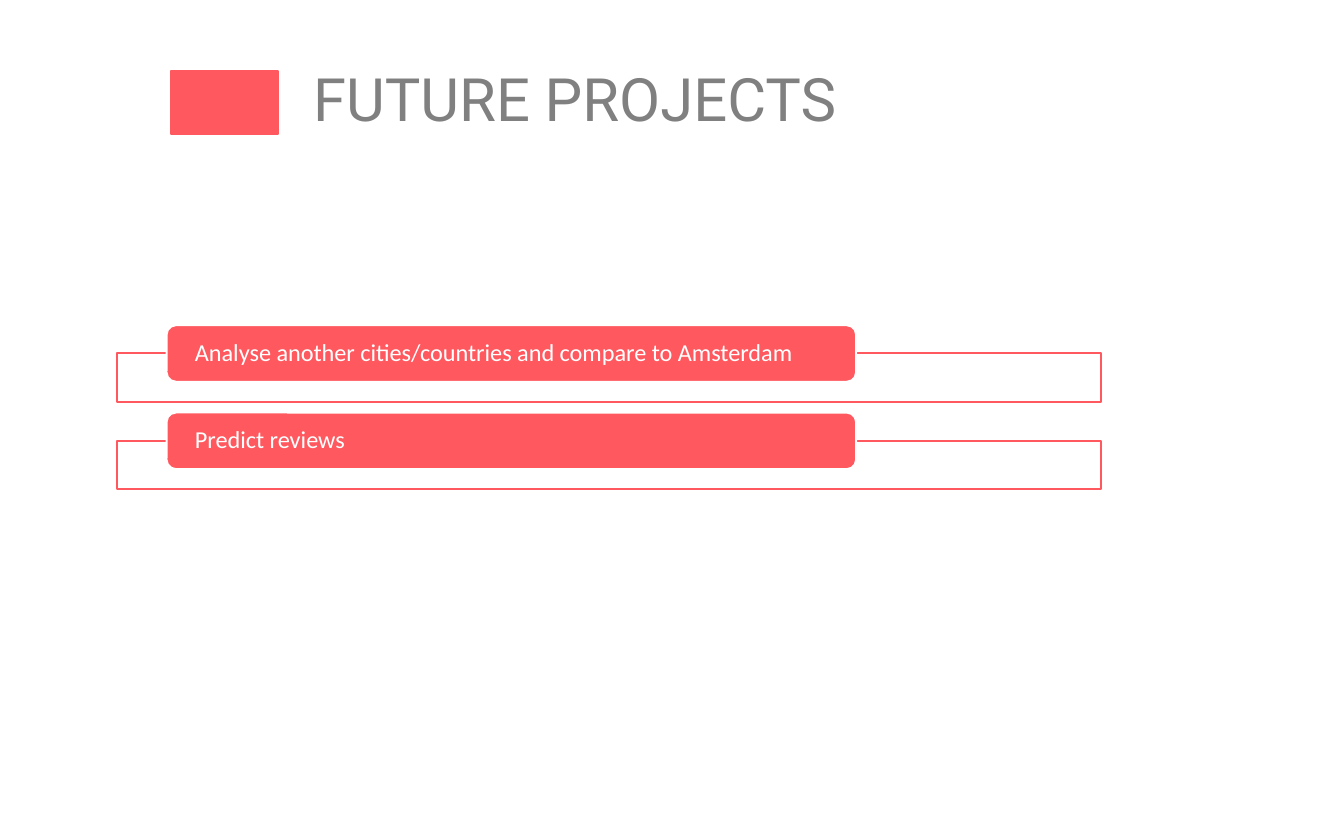
import dataclasses

import pptx
import pptx.dml.color
import pptx.enum.shapes
import pptx.enum.text
import pptx.oxml.ns
import pptx.util
from lxml import etree

PX = 9144
SHAPES = pptx.enum.shapes.MSO_SHAPE


@dataclasses.dataclass(frozen=True)
class Theme:
    """Colours, fonts and type sizes of the slide."""
    coral: str = "FF595F"
    white: str = "FFFFFF"
    grey: str = "808080"
    title_font: str = "Roboto"
    body_font: str = "Calibri"
    title_size: int = 32
    body_size: int = 13
    line_width: int = 1


THEME = Theme()


def rgb(colour):
    """Turn a hex string into a colour."""
    return pptx.dml.color.RGBColor.from_string(colour)


def emu(*lengths):
    """Turn px into EMU."""
    return [pptx.util.Emu(length * PX) for length in lengths]


def add_block(slide, kind, box, fill, line):
    """Add a filled and outlined shape without a shadow."""
    block = slide.shapes.add_shape(kind, *emu(*box))
    block.shadow.inherit = False
    block.fill.solid()
    block.fill.fore_color.rgb = rgb(fill)
    block.line.color.rgb = rgb(line)
    block.line.width = pptx.util.Pt(THEME.line_width)
    return block


def write(frame, words, font, size, colour):
    """Write one left-aligned, vertically centred line."""
    frame.word_wrap = True
    frame.auto_size = pptx.enum.text.MSO_AUTO_SIZE.NONE
    frame.vertical_anchor = pptx.enum.text.MSO_ANCHOR.MIDDLE
    paragraph = frame.paragraphs[0]
    paragraph.alignment = pptx.enum.text.PP_ALIGN.LEFT
    paragraph.line_spacing = 0.9
    run = paragraph.add_run()
    run.text = words
    run.font.name = font
    run.font.size = pptx.util.Pt(size)
    run.font.color.rgb = rgb(colour)


def add_heading(slide, box, words):
    """Place the accent block and the title beside it."""
    left, top, width, height = box
    title = slide.shapes.title
    title.left, title.top, title.width, title.height = emu(
        left + 96, top - 1, width - 96, height + 1)
    write(title.text_frame, words, THEME.title_font, THEME.title_size, THEME.grey)
    add_block(slide, SHAPES.RECTANGLE, (left, top, 80, height), THEME.coral, THEME.coral)


def add_project(slide, box, words):
    """Place an outlined tray with a project label over its top edge."""
    left, top, width, height = box
    tray = add_block(slide, SHAPES.RECTANGLE, (left, top + 21, width, height - 21),
                     THEME.white, THEME.coral)
    colour = tray.fill._xPr.find(".//" + pptx.oxml.ns.qn("a:srgbClr"))
    etree.SubElement(colour, pptx.oxml.ns.qn("a:alpha"), val="90000")
    label = add_block(slide, SHAPES.ROUNDED_RECTANGLE, (left + 37, top, 513, 42),
                      THEME.coral, THEME.white)
    frame = label.text_frame
    frame.margin_left, frame.margin_right, frame.margin_top, frame.margin_bottom = emu(
        19, 19, 0, 0)
    write(frame, words, THEME.body_font, THEME.body_size, THEME.white)


def add_projects(slide, box, projects, pitch):
    """Stack the projects at an equal pitch."""
    left, top, width, height = box
    for row, project in enumerate(projects):
        add_project(slide, (left, top + row * pitch, width, height), project)


def main():
    """Build and save the slide."""
    deck = pptx.Presentation()
    deck.slide_width, deck.slide_height = emu(1000, 625)
    slide = deck.slides.add_slide(deck.slide_layouts[5])
    add_heading(slide, (127, 53, 798, 47), "FUTURE PROJECTS")
    projects = ["Analyse another cities/countries and compare to Amsterdam",
                "Predict reviews"]
    add_projects(slide, (87, 242, 732, 57), projects, 65)
    deck.save("out.pptx")


if __name__ == "__main__":
    main()
